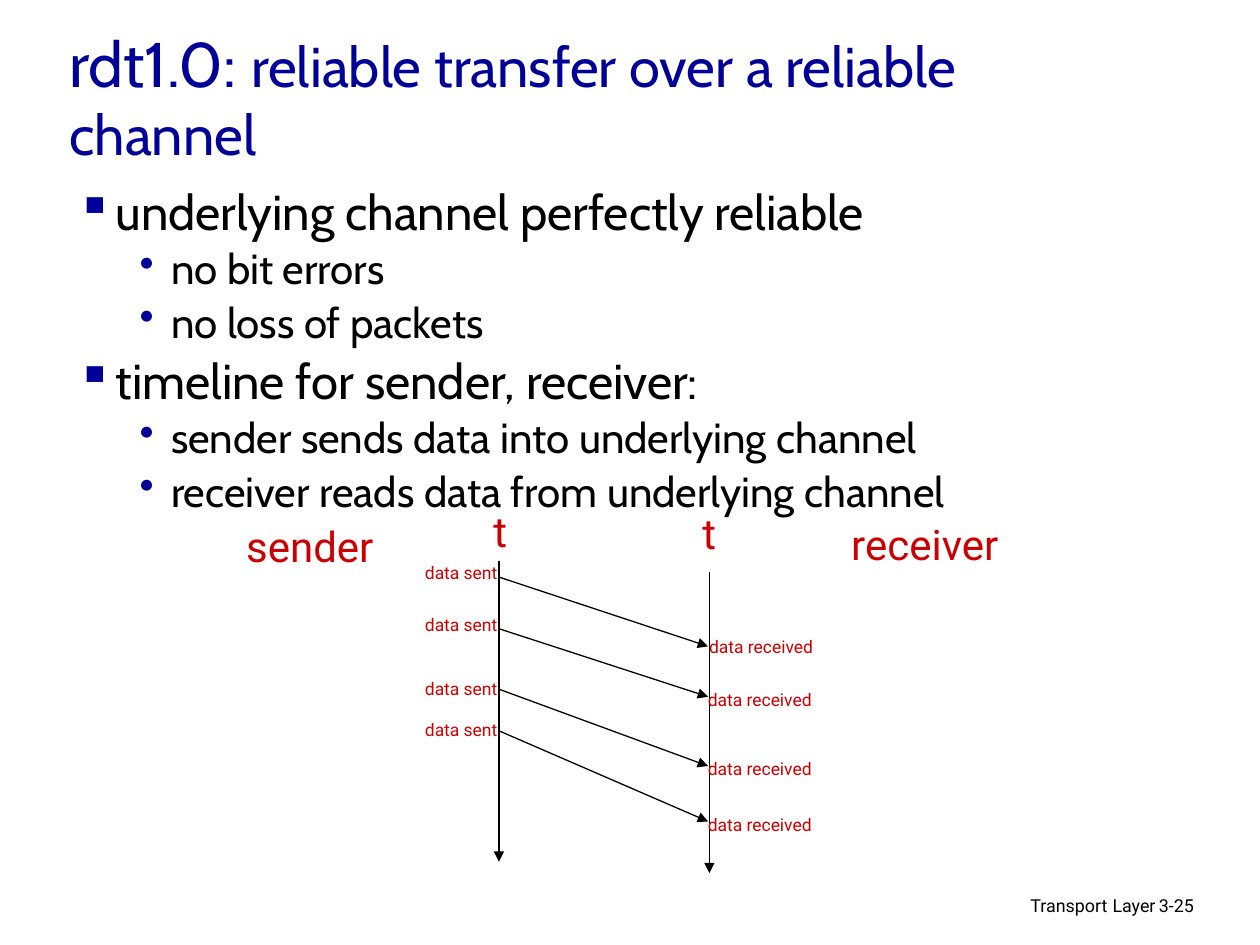
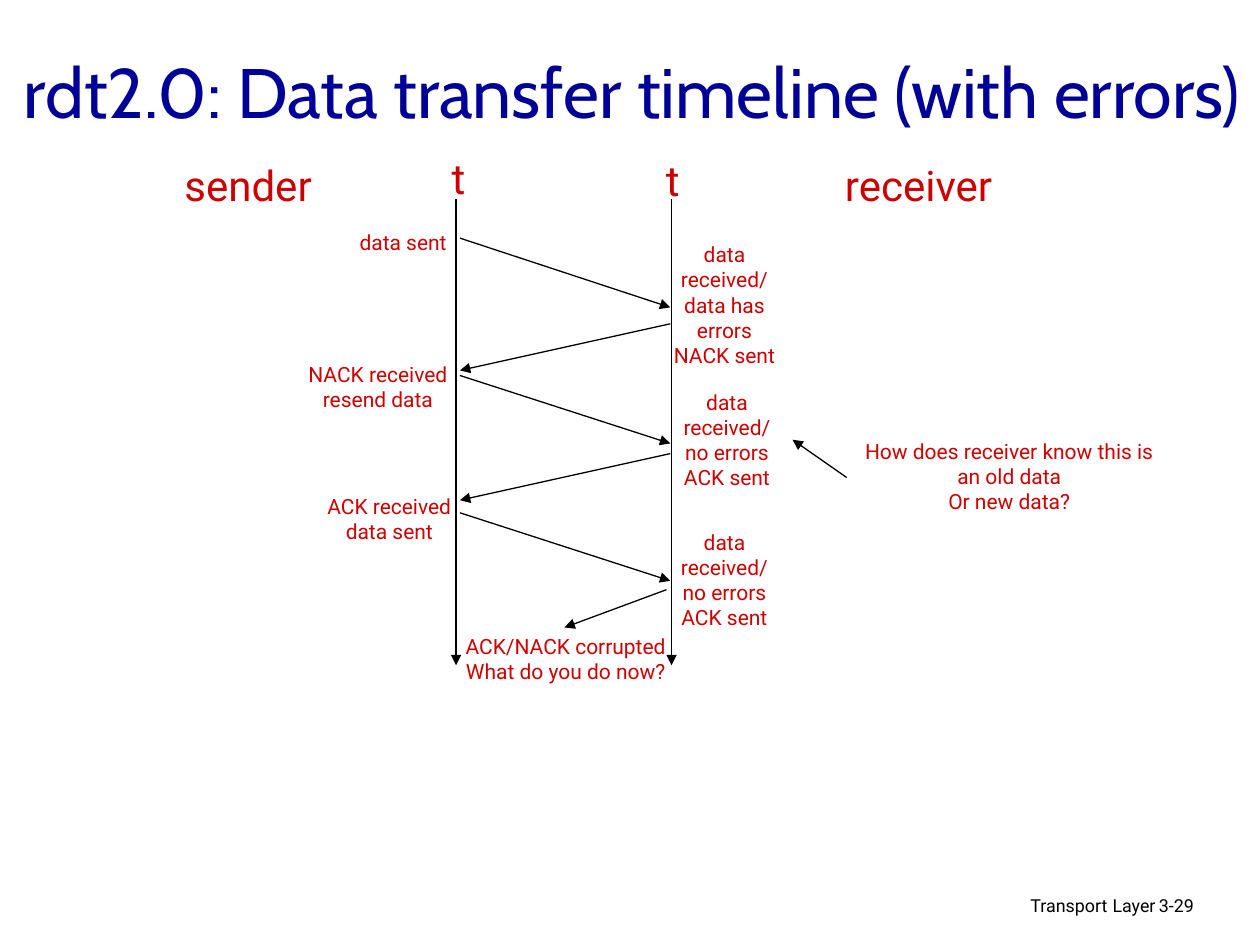
from lxml.etree import SubElement
from pptx import Presentation
from pptx.dml.color import RGBColor
from pptx.enum.shapes import MSO_CONNECTOR
from pptx.enum.text import MSO_ANCHOR, MSO_AUTO_SIZE, PP_ALIGN
from pptx.oxml.ns import qn
from pptx.util import Inches, Pt

NAVY = RGBColor(0x00, 0x00, 0x99)
RED = RGBColor(0xCC, 0x00, 0x00)
BLACK = RGBColor(0x00, 0x00, 0x00)
HEADING_FONT, LABEL_FONT = "Cabin", "Roboto"

WIDTH, HEIGHT = 10, 7.5
INSET_X, INSET_Y = 0.1, 0.05
ACTOR_SIZE = 24
AXIS_WIDTH = 0.75
FOOTER = [("Transport", 10.2), (" ", 11.9), ("Layer", 10.2)]
FOOTER_BOX, PAGE_BOX = (6.1, 7.05, 3.17, 0.31), (9.1, 7.07, 0.74, 0.3)

# level: (text size, left margin, hanging indent, space before, bullet)
OUTLINE_LEVELS = [(28, 0.31, 0.31, 7, "▪"), (24, 0.75, 0.25, 6, "•")]
OUTLINE_BOX = (0.51, 1.46, 8.64, 3.3)

SENDER, RECEIVER = 0, 1

# Actors are (name, centre x, top); axes are (x, top, bottom).
# Messages are (side that sends, y at start, y at end); ends are their x per side.
# Labels are (lines, centre x, top, width, rows when drawn).
NO_ERRORS = ["data received/", "no errors", "ACK sent"]
SLIDES = [
    {
        "title": [("rdt1.0: ", 36), ("reliable transfer over a reliable channel", 32)],
        "title_box": (0.45, 0.21, 8.75, 1.1),
        "page": "3-25",
        "outline": [
            (0, "underlying channel perfectly reliable"),
            (1, "no bit errors"),
            (1, "no loss of packets"),
            (0, "timeline for sender, receiver:"),
            (1, "sender sends data into underlying channel"),
            (1, "receiver reads data from underlying channel"),
        ],
        "actors": [("sender", 2.46, 4.08), ("receiver", 7.34, 4.07),
                   ("t", 3.97, 3.96), ("t", 5.63, 3.98)],
        "axes": [(3.96, 4.45, 6.84), (5.63, 4.54, 6.93)],
        "ends": (3.96, 5.62),
        "messages": [(SENDER, 4.58, 5.13), (SENDER, 4.99, 5.53),
                     (SENDER, 5.47, 6.08), (SENDER, 5.8, 6.52)],
        "label_size": 10,
        "labels": [(["data sent"], 3.66, top, 0.8, 1)
                   for top in (4.41, 4.82, 5.33, 5.66)]
                  + [(["data received"], x, top, 1.07, 1)
                     for x, top in ((6.04, 5), (6.03, 5.42), (6.03, 5.97), (6.03, 6.41))],
        "asides": [],
    },
    {
        "title": [("rdt2.0: Data transfer timeline (with errors)", 40)],
        "title_box": (0.09, 0.15, 9.91, 1.13),
        "page": "3-29",
        "outline": [],
        "actors": [("sender", 1.97, 1.22), ("receiver", 7.29, 1.22),
                   ("t", 3.64, 1.16), ("t", 5.34, 1.18)],
        "axes": [(3.62, 1.58, 5.28), (5.33, 1.58, 5.28)],
        "ends": (3.65, 5.32),
        "messages": [(SENDER, 1.89, 2.44), (RECEIVER, 2.57, 2.94),
                     (SENDER, 2.98, 3.52), (RECEIVER, 3.6, 3.97),
                     (SENDER, 4.07, 4.61)],
        "label_size": 12,
        "labels": [
            (["data sent"], 3.2, 1.77, 0.93, 1),
            (["NACK received", "resend data"], 3, 2.82, 1.34, 2),
            (["ACK received", "data sent"], 3.09, 3.87, 1.22, 2),
            (["data received/", "data has errors", "NACK sent"], 5.75, 1.87, 1.08, 5),
            (NO_ERRORS, 5.77, 3.04, 1.04, 4),
            (NO_ERRORS, 5.75, 4.15, 1.08, 4),
            (["ACK/NACK corrupted", "What do you do now?"], 4.49, 4.98, 1.89, 2),
            (["How does receiver know this is an old data", "Or new data?"],
             8.01, 3.43, 2.59, 3),
        ],
        "asides": [(5.29, 4.68, 4.48, 4.98), (6.72, 3.79, 6.29, 3.49)],
    },
]


def set_all(target, values):
    for name, value in values.items():
        setattr(target, name, value)


def frame_of(shape, wrap=True, anchor=MSO_ANCHOR.TOP):
    frame = shape.text_frame
    set_all(frame, {
        "word_wrap": wrap, "auto_size": MSO_AUTO_SIZE.NONE, "vertical_anchor": anchor,
        "margin_left": Inches(INSET_X), "margin_right": Inches(INSET_X),
        "margin_top": Inches(INSET_Y), "margin_bottom": Inches(INSET_Y),
    })
    return frame


def add_frame(slide, box, wrap=True):
    return frame_of(slide.shapes.add_textbox(*map(Inches, box)), wrap)


def paragraph_at(frame, index):
    return frame.add_paragraph() if index else frame.paragraphs[0]


def write(paragraph, pieces, font, color, **layout):
    set_all(paragraph, layout)
    for text, size in pieces:
        run = paragraph.add_run()
        run.text = text
        set_all(run.font, {"name": font, "size": Pt(size)})
        run.font.color.rgb = color


def add_title(slide, pieces, box):
    title = slide.shapes.title
    set_all(title, dict(zip(("left", "top", "width", "height"), map(Inches, box))))
    frame = frame_of(title, anchor=MSO_ANCHOR.MIDDLE)
    write(frame.paragraphs[0], pieces, HEADING_FONT, NAVY, alignment=PP_ALIGN.LEFT)


def add_bullet(paragraph, margin, hanging, char):
    props = paragraph._p.get_or_add_pPr()
    props.set("marL", str(Inches(margin)))
    props.set("indent", str(-Inches(hanging)))
    tint = SubElement(props, qn("a:buClr"))
    SubElement(tint, qn("a:srgbClr"), val=str(NAVY))
    SubElement(props, qn("a:buChar"), char=char)


def add_outline(slide, items):
    frame = add_frame(slide, OUTLINE_BOX)
    for index, (level, text) in enumerate(items):
        size, margin, hanging, before, char = OUTLINE_LEVELS[level]
        paragraph = paragraph_at(frame, index)
        add_bullet(paragraph, margin, hanging, char)
        write(paragraph, [(text, size)], HEADING_FONT, BLACK, level=level,
              line_spacing=0.85, space_before=Pt(before if index else 0))


def add_arrow(slide, *ends):
    arrow = slide.shapes.add_connector(MSO_CONNECTOR.STRAIGHT, *map(Inches, ends))
    arrow.line.width = Pt(AXIS_WIDTH)
    arrow.line.color.rgb = BLACK
    SubElement(arrow.line._get_or_add_ln(), qn("a:tailEnd"), type="triangle")
    SubElement(arrow._element.spPr, qn("a:effectLst"))


def add_label(slide, lines, center, top, width, rows, size):
    """Centre red lines on an x position; only boxes with more rows than lines wrap."""
    height = rows * size / 60 + 2 * INSET_Y
    box = (center - width / 2, top, width, height)
    frame = add_frame(slide, box, wrap=rows > len(lines))
    for index, line in enumerate(lines):
        write(paragraph_at(frame, index), [(line, size)], LABEL_FONT, RED,
              alignment=PP_ALIGN.CENTER)


def add_footer(slide, page):
    for pieces, box, side in ((FOOTER, FOOTER_BOX, PP_ALIGN.RIGHT),
                              ([(page, FOOTER[0][1])], PAGE_BOX, PP_ALIGN.LEFT)):
        write(add_frame(slide, box).paragraphs[0], pieces, LABEL_FONT, BLACK,
              alignment=side, line_spacing=0.9)


def add_timeline(slide, content):
    for x, top, bottom in content["axes"]:
        add_arrow(slide, x, top, x, bottom)
    for side, start, end in content["messages"]:
        add_arrow(slide, content["ends"][side], start, content["ends"][1 - side], end)
    for ends in content["asides"]:
        add_arrow(slide, *ends)
    for name, center, top in content["actors"]:
        add_label(slide, [name], center, top, 0.2 + 0.16 * len(name), 1, ACTOR_SIZE)
    for label in content["labels"]:
        add_label(slide, *label, content["label_size"])


def main():
    deck = Presentation()
    set_all(deck, {"slide_width": Inches(WIDTH), "slide_height": Inches(HEIGHT)})
    title_only = deck.slide_layouts.get_by_name("Title Only")
    for content in SLIDES:
        slide = deck.slides.add_slide(title_only)
        add_footer(slide, content["page"])
        add_title(slide, content["title"], content["title_box"])
        if content["outline"]:
            add_outline(slide, content["outline"])
        add_timeline(slide, content)
    deck.save("out.pptx")


if __name__ == "__main__":
    main()
